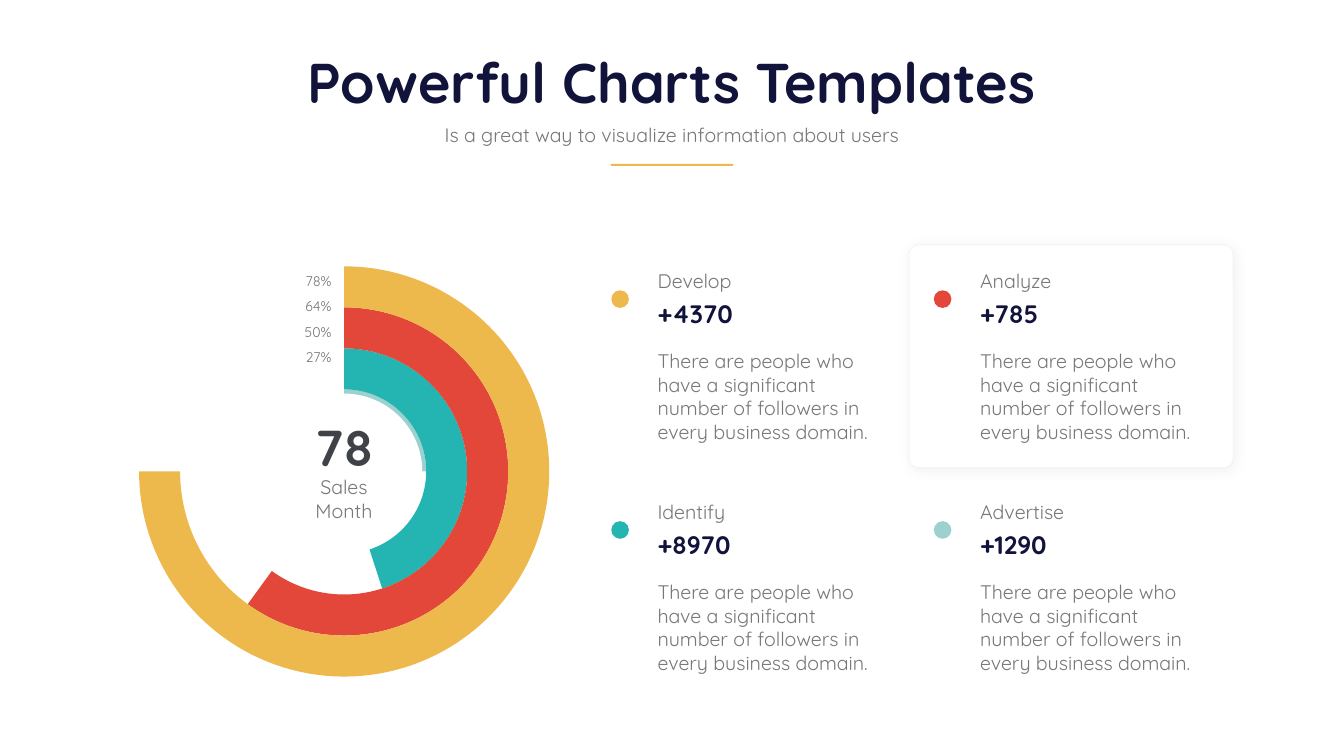
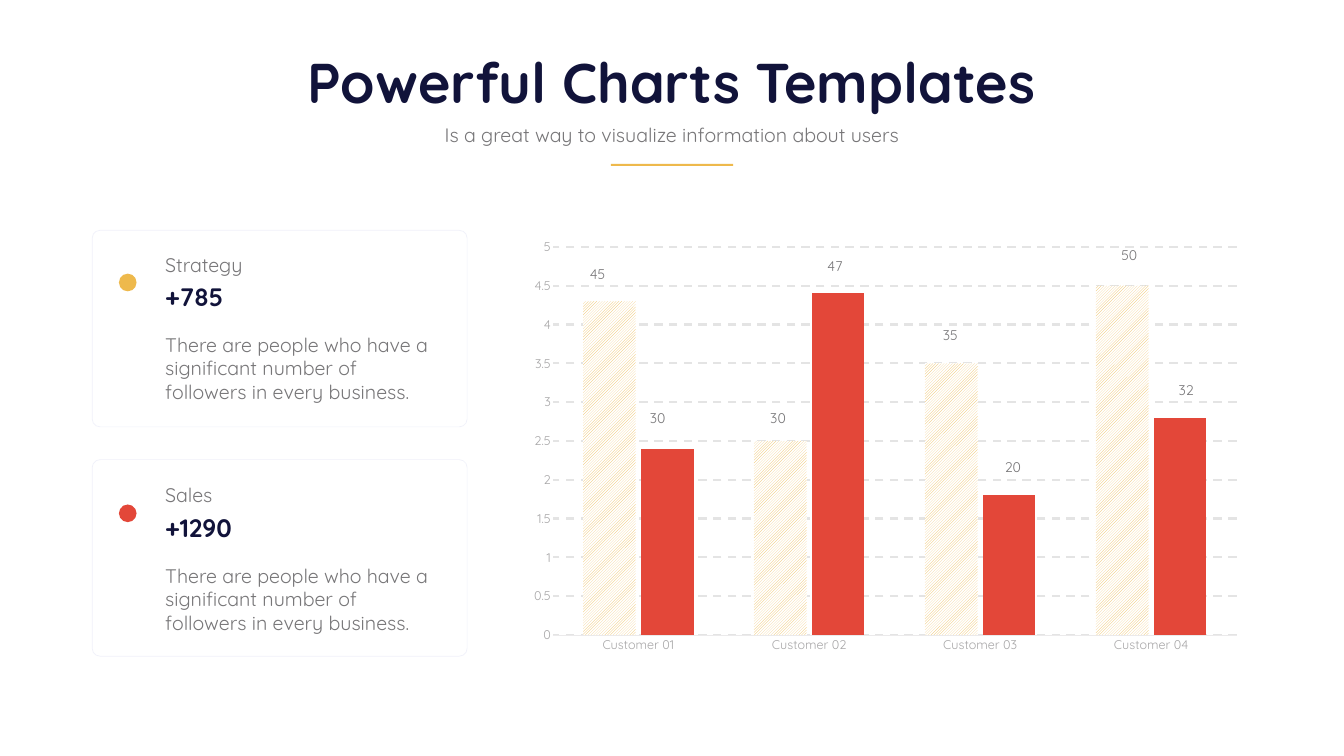
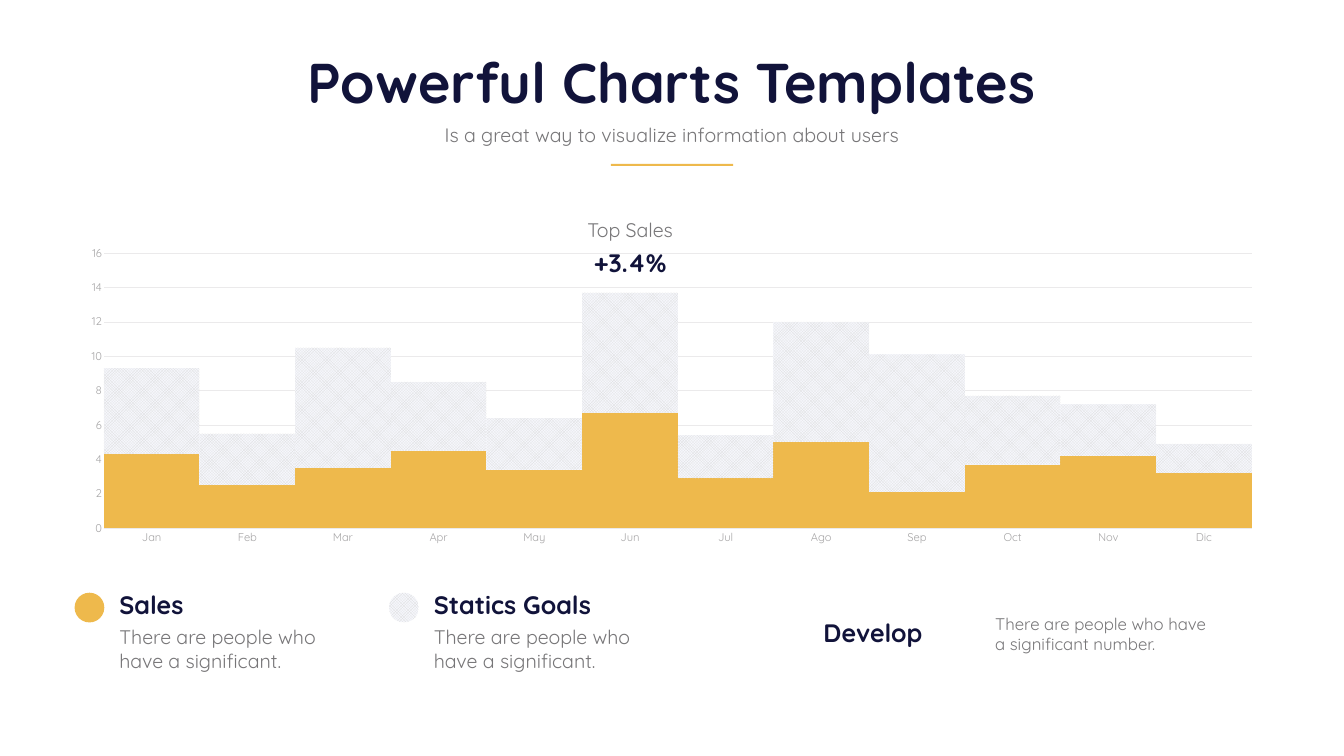
from lxml import etree
from pptx import Presentation
from pptx.chart.data import CategoryChartData
from pptx.dml.color import RGBColor
from pptx.enum.chart import XL_CHART_TYPE, XL_TICK_MARK
from pptx.enum.dml import MSO_LINE, MSO_PATTERN
from pptx.enum.shapes import MSO_SHAPE
from pptx.enum.text import MSO_ANCHOR, MSO_AUTO_SIZE, PP_ALIGN
from pptx.oxml import parse_xml
from pptx.oxml.ns import nsdecls, qn
from pptx.util import Pt

PX = 9144  # 100 px to the inch
FONT = "Quicksand"
NAVY, GREY, CHARCOAL, AXIS_GREY = "11133A", "777678", "3F4347", "A7A6A7"
YELLOW, RED, TEAL, MINT = "EEB94C", "E34739", "24B5B2", "9CD1D0"
WHITE, PALE, CARD_LINE, AXIS_LINE, DASH_LINE = "FFFFFF", "F6F7FC", "F0F1FA", "EBEAEB", "E4E4E4"
LEFT, CENTER, RIGHT = PP_ALIGN.LEFT, PP_ALIGN.CENTER, PP_ALIGN.RIGHT
TOP, MIDDLE = MSO_ANCHOR.TOP, MSO_ANCHOR.MIDDLE
OVAL, RECT, ROUND = MSO_SHAPE.OVAL, MSO_SHAPE.RECTANGLE, MSO_SHAPE.ROUNDED_RECTANGLE
DOUGHNUT = XL_CHART_TYPE.DOUGHNUT
CLUSTERED, STACKED = XL_CHART_TYPE.COLUMN_CLUSTERED, XL_CHART_TYPE.COLUMN_STACKED
NO_TICK, DASH = XL_TICK_MARK.NONE, MSO_LINE.DASH
STRIPES = (MSO_PATTERN.WIDE_UPWARD_DIAGONAL, YELLOW, WHITE)
CHECKS = (MSO_PATTERN.LARGE_CHECKER_BOARD, "D9D9D9", PALE)

# Text styles: size, colour, bold
TITLE = (80, NAVY, True)
TOTAL = (72, CHARCOAL, True)
FIGURE = (36, NAVY, True)
LABEL = (28, GREY, False)
NOTE = (24, GREY, False)
MARK = (20, GREY, False)


def paint(fill, color):
    """Fill with a hex colour, a (pattern, front, back) triple or nothing."""
    if color is None:
        fill.background()
    elif isinstance(color, tuple):
        fill.patterned()
        fill.pattern = color[0]
        fill.fore_color.rgb = RGBColor.from_string(color[1])
        fill.back_color.rgb = RGBColor.from_string(color[2])
    else:
        fill.solid()
        fill.fore_color.rgb = RGBColor.from_string(color)


def write(box, place, text, style, align=LEFT, anchor=TOP):
    """Place a text holder and format its single paragraph."""
    box.left, box.top, box.width, box.height = [n * PX for n in place]
    frame = box.text_frame
    frame.word_wrap = True
    frame.auto_size = MSO_AUTO_SIZE.NONE
    frame.vertical_anchor = anchor
    frame.text = text
    para = frame.paragraphs[0]
    para.alignment = align
    para.space_before = Pt(0)
    font = para.runs[0].font
    font.name, font.size, font.bold = FONT, Pt(style[0]), style[2]
    paint(font.fill, style[1])
    return frame


deck = Presentation()
deck.slide_width, deck.slide_height = 2667 * PX, 1500 * PX

# Slides with the shared header
shapes = []  # slide, kind, place, fill, line
for _ in range(3):
    slide = deck.slides.add_slide(deck.slide_layouts[0])
    paint(slide.background.fill, WHITE)
    write(slide.shapes.title, (388, 90, 1890, 145), "Powerful Charts Templates", TITLE, CENTER)
    write(slide.placeholders[1], (855, 238, 956, 57),
          "Is a great way to visualize information about users", LABEL, CENTER)
    shapes.append((slide, RECT, (1212, 325, 243, 4), YELLOW, None))
rings, customers, months = deck.slides

# Charts: slide, type, categories, series (values, fill), place, plot area, text size
charts = [
    (rings, DOUGHNUT, ["1", "2"],
     [([25, 75], MINT), ([45, 55], TEAL), ([60, 40], RED), ([75, 25], YELLOW)],
     (199, 515, 968, 842), (276, 528, 814, 815), 18),
    (customers, CLUSTERED, [f"Customer {n:02}" for n in range(1, 5)],
     [([4.3, 2.5, 3.5, 4.5], STRIPES), ([2.4, 4.4, 1.8, 2.8], RED)],
     (1032, 457, 1452, 854), (1097, 490, 1357, 770), 18),
    (months, STACKED, "Jan Feb Mar Apr May Jun Jul Ago Sep Oct Nov Dic".split(),
     [([4.3, 2.5, 3.5, 4.5, 3.4, 6.7, 2.9, 5, 2.1, 3.7, 4.2, 3.2], YELLOW),
      ([5, 3, 7, 4, 3, 7, 2.5, 7, 8, 4, 3, 1.7], CHECKS)],
     (134, 477, 2398, 614), (206, 502, 2278, 546), 16),
]
for slide, kind, categories, series, place, plot_place, size in charts:
    data = CategoryChartData()
    data.categories = categories
    for number, (values, _) in enumerate(series, 1):
        data.add_series(f"Series {number}", values)
    chart = slide.shapes.add_chart(kind, *[n * PX for n in place], data).chart
    chart.has_legend = chart.has_title = False
    chart.font.name, chart.font.size = FONT, Pt(size)
    paint(chart.font.fill, GREY)
    plot = chart.plots[0]

    # Fixed inner plot area, as fractions of the chart frame
    left, top, width, height = place
    fractions = {"x": (plot_place[0] - left) / width, "y": (plot_place[1] - top) / height,
                 "w": plot_place[2] / width, "h": plot_place[3] / height}
    area = chart.element.find(".//" + qn("c:plotArea"))
    for old in area.findall(qn("c:layout")):
        area.remove(old)
    layout = parse_xml(f"<c:layout {nsdecls('c')}><c:manualLayout/></c:layout>")
    settings = {"layoutTarget": "inner", "xMode": "edge", "yMode": "edge", **fractions}
    for name, value in settings.items():
        etree.SubElement(layout[0], qn(f"c:{name}")).set("val", str(value))
    area.insert(0, layout)

    if kind == DOUGHNUT:
        for ring, (_, color) in zip(plot.series, series):
            for index, point_color in enumerate((color, None)):
                point = ring.points[index].format
                paint(point.fill, point_color)
                paint(point.line.fill, None)
        continue

    plot.vary_by_categories = False
    for bars, (_, color) in zip(plot.series, series):
        paint(bars.format.fill, color)
        bars.invert_if_negative = False
    dashed = kind == CLUSTERED
    plot.gap_width, plot.overlap = (115, -10) if dashed else (0, 100)
    for axis, line_color in ((chart.category_axis, AXIS_LINE), (chart.value_axis, None)):
        axis.major_tick_mark = axis.minor_tick_mark = NO_TICK
        font = axis.tick_labels.font
        font.name, font.size = FONT, Pt(size)
        paint(font.fill, AXIS_GREY)
        axis.format.line.width = Pt(0.75)
        paint(axis.format.line.fill, line_color)
    axis.minimum_scale = 0
    axis.maximum_scale, axis.major_unit = (5, 0.5) if dashed else (16, 2)
    axis.has_major_gridlines = True
    grid = axis.major_gridlines.format.line
    paint(grid.fill, DASH_LINE if dashed else AXIS_LINE)
    grid.width = Pt(3 if dashed else 0.75)
    if dashed:
        grid.dash_style = DASH

# Cards, doughnut hole and legend markers
shapes += [
    (rings, ROUND, (1804, 486, 643, 442), WHITE, CARD_LINE),
    (rings, OVAL, (528, 781, 310, 310), WHITE, None),
    (customers, ROUND, (183, 457, 744, 390), WHITE, CARD_LINE),
    (customers, ROUND, (183, 912, 744, 390), WHITE, CARD_LINE),
    (months, RECT, (1526, 1164, 990, 181), WHITE, None),
]
texts = []  # slide, place, text, style, alignment

# Information blocks: a dot, a label, a figure and a description
short = "There are people who have a significant number of followers in every business"
blocks = [
    (rings, 1295, 529, "Develop", "+4370", YELLOW),
    (rings, 1295, 987, "Identify", "+8970", TEAL),
    (rings, 1935, 529, "Analyze", "+785", RED),
    (rings, 1935, 987, "Advertise", "+1290", MINT),
    (customers, 318, 496, "Strategy", "+785", YELLOW),
    (customers, 318, 954, "Sales", "+1290", RED),
]
for slide, left, top, label, figure, color in blocks:
    size, ending = ((463, 199), " domain.") if slide is rings else ((562, 151), ".")
    shapes.append((slide, OVAL, (left - 82, top + 47, 35, 35), color, None))
    texts += [
        (slide, (left, top, 351, 57), label, LABEL, LEFT),
        (slide, (left, top + 58, 351, 71), figure, FIGURE, LEFT),
        (slide, (left, top + 159, *size), short + ending, LABEL, LEFT),
    ]

# Ring percentages
for row, percent in enumerate(["78%", "64%", "50%", "27%"]):
    texts.append((rings, (558, 536 + 50 * row, 110, 44), percent, MARK, RIGHT))

# Numbers above the customer bars
bar_marks = [(1156, 521, "45"), (1275, 808, "30"), (1514, 808, "30"), (1627, 505, "47"),
             (1856, 642, "35"), (1980, 905, "20"), (2211, 485, "50"), (2324, 752, "32")]
for left, top, mark in bar_marks:
    texts.append((customers, (left, top, 60, 52), mark, MARK, CENTER))

# Legend and callouts of the monthly chart
for left, name, color in ((148, "Sales", YELLOW), (772, "Statics Goals", CHECKS)):
    shapes.append((months, OVAL, (left, 1176, 59, 59), color, None))
    texts += [
        (months, (left + 79, 1164, 478, 71), name, FIGURE, LEFT),
        (months, (left + 79, 1235, 478, 104), "There are people who have a significant.", LABEL, LEFT),
    ]
texts += [
    (months, (1624, 1220, 342, 71), "Develop", FIGURE, LEFT),
    (months, (1965, 1212, 464, 91), "There are people who have a significant number.", NOTE, LEFT),
    (months, (1075, 428, 351, 57), "Top Sales", LABEL, CENTER),
    (months, (1075, 486, 351, 71), "+3.4%", FIGURE, CENTER),
]

# Draw the shapes, then the texts above them
for slide, kind, place, color, line_color in shapes:
    shape = slide.shapes.add_shape(kind, *[n * PX for n in place])
    shape.shadow.inherit = False
    paint(shape.fill, color)
    shape.line.width = Pt(1)
    paint(shape.line.fill, line_color)
    if kind == ROUND:
        shape.adjustments[0] = 0.04
        if slide is rings:
            effects = shape.element.spPr.find(qn("a:effectLst"))
            effects.append(parse_xml(
                f'<a:outerShdw {nsdecls("a")} blurRad="254000" dist="38100" dir="2700000">'
                '<a:srgbClr val="000000"><a:alpha val="5000"/></a:srgbClr></a:outerShdw>'))

for slide, place, text, style, align in texts:
    write(slide.shapes.add_textbox(0, 0, PX, PX), place, text, style, align)

# Total in the middle of the rings
for place, text, style in (((599, 937, 167, 105), "Sales Month", LABEL),
                           ((536, 819, 294, 132), "78", TOTAL)):
    frame = write(rings.shapes.add_textbox(0, 0, PX, PX), place, text, style, CENTER, MIDDLE)
    frame.margin_left = frame.margin_right = frame.margin_top = frame.margin_bottom = 6 * PX

deck.save("out.pptx")
